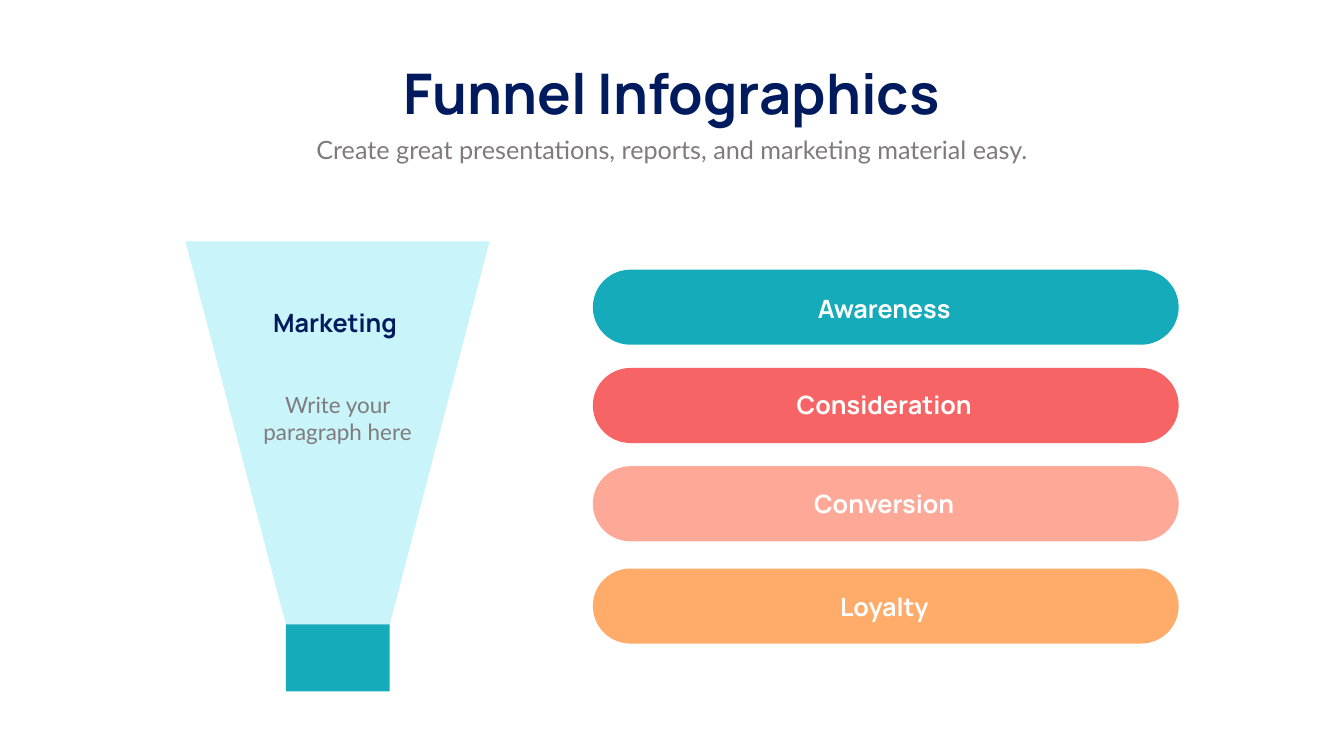
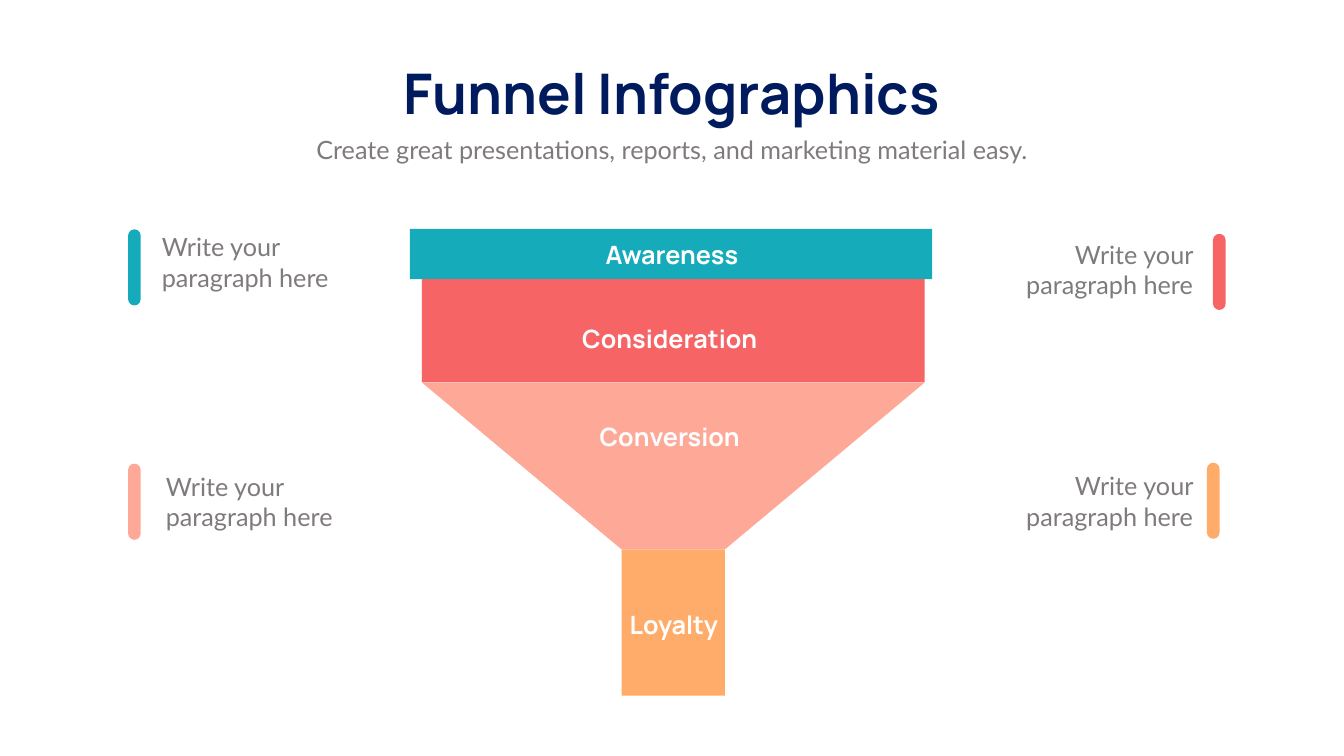
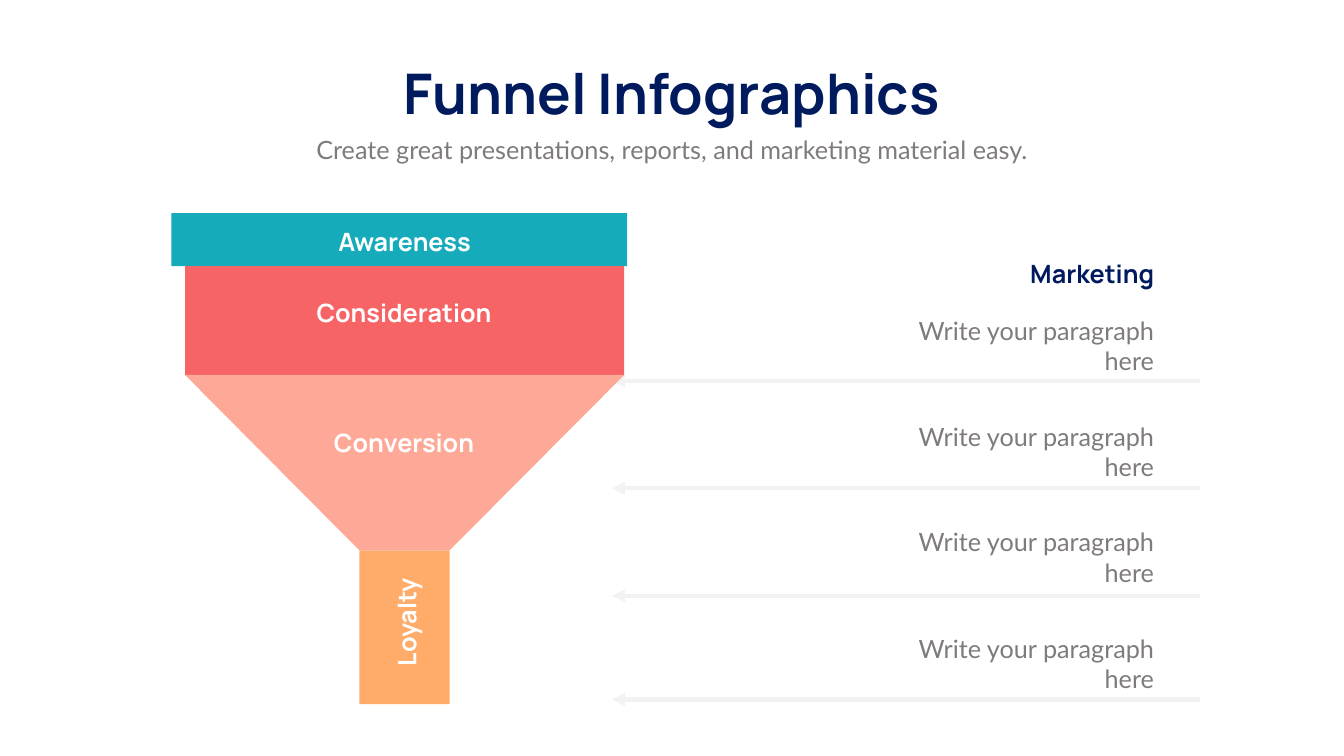
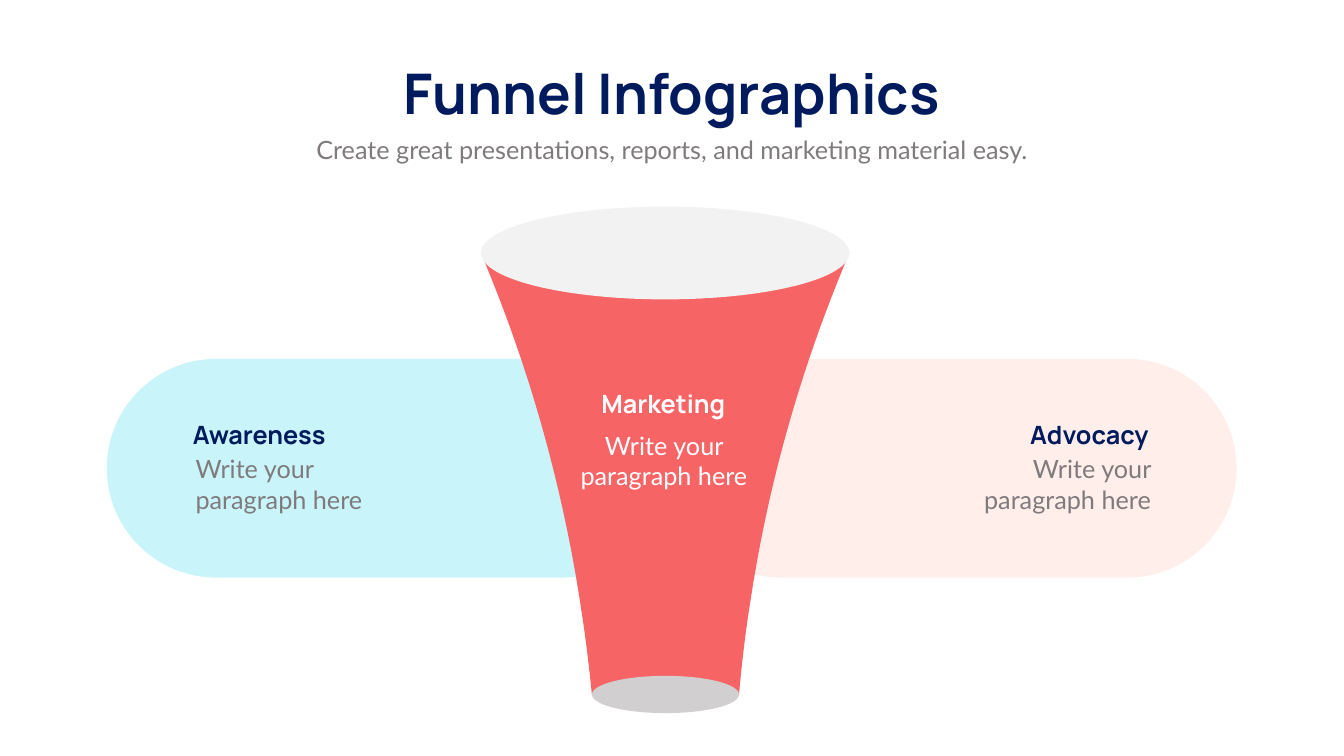
"""Build four funnel infographic slides on a grid of 100 columns by 100 rows."""
from lxml import etree
from pptx import Presentation, util as u
from pptx.dml.color import RGBColor
from pptx.enum import shapes, text
from pptx.oxml.ns import qn

NAVY = RGBColor(0x00, 0x1B, 0x5D)
GRAY = RGBColor(0x7F, 0x7B, 0x7D)
WHITE = RGBColor(0xFF, 0xFF, 0xFF)
TEAL = RGBColor(0x16, 0xAB, 0xBA)
RED = RGBColor(0xF7, 0x64, 0x66)
PINK = RGBColor(0xFE, 0xA9, 0x98)
GOLD = RGBColor(0xFF, 0xAB, 0x69)
AQUA = RGBColor(0xC9, 0xF4, 0xF9)
BLUSH = RGBColor(0xFF, 0xEE, 0xEA)
PALE = RGBColor(0xF2, 0xF2, 0xF2)
SILVER = RGBColor(0xD1, 0xCF, 0xD0)

HEAD, BODY = "Manrope", "Lato"
LEFT, MID, RIGHT = text.PP_ALIGN.LEFT, text.PP_ALIGN.CENTER, text.PP_ALIGN.RIGHT
RECT = shapes.MSO_SHAPE.RECTANGLE
PILL = shapes.MSO_SHAPE.ROUNDED_RECTANGLE
OVAL = shapes.MSO_SHAPE.OVAL
LINE, PAIR = 4.73, 8.73
HERE = "Write your paragraph here"
STAGES = ["Awareness", "Consideration", "Conversion", "Loyalty"]
HUES = [TEAL, RED, PINK, GOLD]

deck = Presentation()
deck.slide_width, deck.slide_height = u.Inches(26.66), u.Inches(15)
COL, ROW = deck.slide_width / 100, deck.slide_height / 100


def draw(page, hue, geo, kind=None):
    """Fill a preset shape in a box, or a polygon when no kind is given."""
    if kind is None:
        spots = [(round(x * COL), round(y * ROW)) for x, y in geo]
        pen = page.shapes.build_freeform(*spots[0])
        pen.add_line_segments(spots[1:])
        form = pen.convert_to_shape()
    else:
        x, y, w, h = geo
        form = page.shapes.add_shape(kind, round(x * COL), round(y * ROW), round(w * COL), round(h * ROW))
        if kind == PILL:
            form.adjustments[0] = 0.5
    form.shadow.inherit = False
    form.fill.solid()
    form.fill.fore_color.rgb = hue
    form.line.fill.background()


def write(page, words, x, y, w, h=LINE, face=BODY, hue=GRAY, size=36, side=MID, wrap=True):
    """Add one paragraph of text; the heading face is bold."""
    box = page.shapes.add_textbox(round(x * COL), round(y * ROW), round(w * COL), round(h * ROW))
    frame = box.text_frame
    frame.text = words
    frame.word_wrap = wrap
    frame.auto_size = text.MSO_AUTO_SIZE.SHAPE_TO_FIT_TEXT
    para = frame.paragraphs[0]
    para.alignment = side
    font = para.runs[0].font
    font.name, font.size, font.bold = face, u.Pt(size), face == HEAD
    font.color.rgb = hue
    return box


pages = []
for _ in range(4):
    page = deck.slides.add_slide(deck.slide_layouts[6])
    write(page, "Funnel Infographics", 28.02, 7.47, 43.92, 9.67, HEAD, NAVY, 80, wrap=False)
    write(page, "Create great presentations, reports, and marketing material easy.", 10.95, 17.4, 78.09)
    pages.append(page)
bars, center, arrows, cup = pages

for name, hue, top, base in zip(STAGES, HUES, [35.67, 48.67, 61.67, 75.2], [38.47, 51.2, 64.2, 77.87]):
    draw(bars, hue, (44.11, top, 43.59, 9.93), PILL)
    write(bars, name, 47.26, base, 37.06, face=HEAD, hue=WHITE)
draw(bars, AQUA, [(13.8, 31.93), (36.42, 31.93), (29, 82.6), (21.27, 82.6)])
draw(bars, TEAL, (21.27, 82.6, 7.73, 8.87), RECT)
write(bars, "Marketing", 19.32, 40.27, 11.22, face=HEAD, hue=NAVY)
write(bars, HERE, 17.93, 51.47, 14.37, 7.87, size=32)

for y, base in [(50.4, 41.4), (64.6, 55.4), (78.8, 69.33), (92.53, 83.47)]:
    arrow = arrows.shapes.add_connector(
        shapes.MSO_CONNECTOR.STRAIGHT, round(89.27 * COL), round(y * ROW), round(45.55 * COL), round(y * ROW))
    arrow.line.color.rgb, arrow.line.width = PALE, u.Pt(6)
    etree.SubElement(arrow.line._get_or_add_ln(), qn("a:tailEnd"), type="triangle")
    etree.SubElement(arrow._element.spPr, qn("a:effectLst"))
    write(arrows, HERE, 63.95, base, 22.28, PAIR, side=RIGHT)
write(arrows, "Marketing", 66.17, 33.8, 20.07, face=HEAD, hue=NAVY, side=RIGHT)

funnels = [
    (center, (30.5, 38.86), (31.4, 37.4), (46.25, 7.69), (30.27, 36.93, 50.6, 72.67, 92),
     (50, 49.83, 49.83, 50.13), (31.27, 42.47, 55.4, 80.27), 0),
    (arrows, (12.75, 33.91), (13.77, 32.67), (26.74, 6.71), (28.2, 35.2, 49.6, 72.8, 93.13),
     (30.1, 30.06, 30.06, 30.25), (29.6, 39, 56.2, 79.93), 270),
]
for page, rim, bowl, neck, rows, mids, bases, turn in funnels:
    for hue, (x, w), top, end in [
            (TEAL, rim, rows[0], rows[1]), (RED, bowl, rows[1], rows[2]), (GOLD, neck, rows[3], rows[4])]:
        draw(page, hue, (x, top, w, end - top), RECT)
    draw(page, PINK, [(bowl[0], rows[2]), (sum(bowl), rows[2]), (sum(neck), rows[3]), (neck[0], rows[3])])
    for name, mid, base, w in zip(STAGES, mids, bases, (15.57, 21.72, 21.72, 8.14)):
        label = write(page, name, mid - w / 2, base, w, face=HEAD, hue=WHITE)
    label.rotation = turn

for hue, x, y, left, top, side in [
        (TEAL, 9.53, 30.33, 11.67, 30.33, LEFT), (PINK, 9.53, 61.33, 11.97, 62, LEFT),
        (RED, 90.25, 30.93, 75.21, 31.27, RIGHT), (GOLD, 89.8, 61.2, 75.21, 61.93, RIGHT)]:
    draw(center, hue, (x, y, 0.94, 10.07), PILL)
    write(center, HERE, left, top, 13.92, PAIR, side=side)

for name, hue, x, head, body, side in [
        ("Awareness", AQUA, 7.95, 13.99, 14.18, LEFT), ("Advocacy", BLUSH, 50, 68.49, 69.95, RIGHT)]:
    draw(cup, hue, (x, 47.47, 42.01, 28.93), PILL)
    write(cup, name, head, 55.13, 17.33, face=HEAD, hue=NAVY, side=side)
    write(cup, HERE, body, 59.67, 16.05, PAIR, side=side)

curves = [
    [(44.04, 91.87), (43.85, 88.47), (43.62, 85), (43.32, 81.47)],
    [(43.32, 81.47), (41.75, 62.27), (38.82, 46.2), (35.78, 33.47)],
    [(63.2, 33.47), (60.32, 45.53), (57.39, 61.07), (55.81, 79.8)],
    [(55.81, 79.8), (55.44, 83.93), (55.18, 88), (54.99, 91.87)],
]
edge = []
for curve in curves:
    for step in range(21):
        t = step / 20
        parts = ((1 - t) ** 3, 3 * t * (1 - t) ** 2, 3 * t * t * (1 - t), t ** 3)
        edge.append([sum(k * spot[axis] for k, spot in zip(parts, curve)) for axis in (0, 1)])
draw(cup, RED, edge)
draw(cup, PALE, (35.78, 27.33, 27.42, 12.27), OVAL)
draw(cup, SILVER, (44.04, 89.4, 10.95, 4.93), OVAL)
write(cup, "Marketing", 43.74, 51, 11.22, face=HEAD, hue=WHITE)
write(cup, HERE, 42.46, 56.53, 13.88, PAIR, hue=WHITE)

deck.save("out.pptx")
